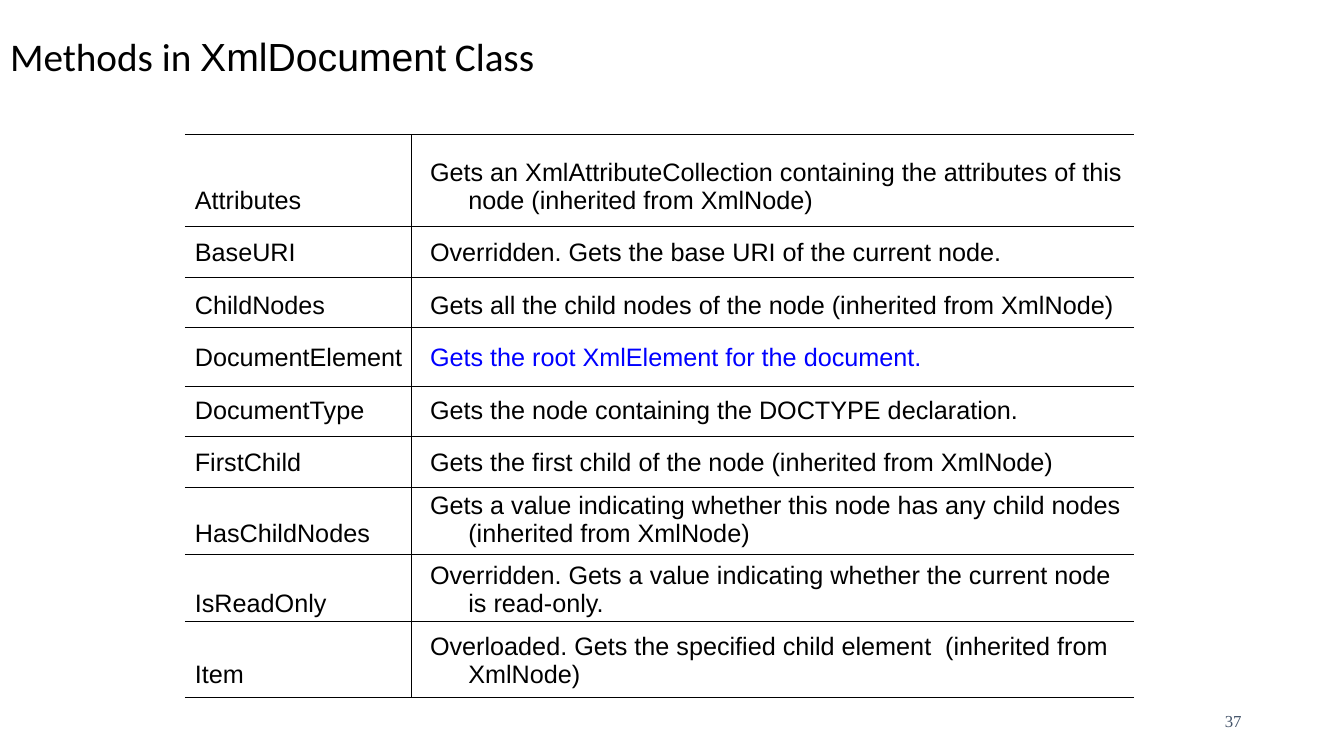
from pptx import Presentation
from pptx.dml.color import RGBColor
from pptx.enum.shapes import MSO_CONNECTOR
from pptx.enum.text import MSO_ANCHOR, MSO_AUTO_SIZE, PP_ALIGN
from pptx.oxml.ns import qn
from pptx.util import Inches, Pt
from lxml import etree

STRAIGHT = MSO_CONNECTOR.STRAIGHT
MIDDLE, BOTTOM = MSO_ANCHOR.MIDDLE, MSO_ANCHOR.BOTTOM
LEFT, RIGHT = PP_ALIGN.LEFT, PP_ALIGN.RIGHT
NO_FIT = MSO_AUTO_SIZE.NONE

COLORS = {"text": "000000", "accent": "0000FF", "number": "44546A"}
NO_STYLE = "{2D5ABB26-0587-4C30-8999-92F81FD0307C}"
COLS, ROWS = 160, 90
UNIT = Inches(1 / 12)

TITLE = [("Methods in ", "Calibri"), ("XmlDocument", "Arial"), (" Class", "Calibri")]
MEMBERS = [
    ("Attributes", "Gets an XmlAttributeCollection containing the attributes of this node "
                   "(inherited from XmlNode)"),
    ("BaseURI", "Overridden. Gets the base URI of the current node."),
    ("ChildNodes", "Gets all the child nodes of the node (inherited from XmlNode)"),
    ("DocumentElement", "Gets the root XmlElement for the document."),
    ("DocumentType", "Gets the node containing the DOCTYPE declaration."),
    ("FirstChild", "Gets the first child of the node (inherited from XmlNode)"),
    ("HasChildNodes", "Gets a value indicating whether this node has any child nodes "
                      "(inherited from XmlNode)"),
    ("IsReadOnly", "Overridden. Gets a value indicating whether the current node is read-only."),
    ("Item", "Overloaded. Gets the specified child element  (inherited from XmlNode)"),
]
HIGHLIGHT = "Gets the root XmlElement for the document."
TABLE_LEFT, TABLE_RIGHT, TABLE_TOP = 22, 135, 12
COL_WIDTHS = [28, 85]
ROW_HEIGHTS = [14.17] + [6.25] * 5 + [8.4] * 3
RULES = [16, 27, 33, 39, 46, 52, 58, 66, 74, 83]
DIVIDER = 49


def grid(*units):
    return [int(u * UNIT) for u in units]


class Deck:
    """Holds the presentation and its current slide, measured in a 160 x 90 grid."""

    def __init__(self):
        self.prs = Presentation()
        self.prs.slide_width, self.prs.slide_height = grid(COLS, ROWS)
        self.s = self.prs.slides.add_slide(self.prs.slide_layouts[5])

    def add_run(self, p, text, font="Arial", size=18, color="text"):
        r = p.add_run()
        r.text = text
        for name, value in {"name": font, "size": Pt(size), "bold": False}.items():
            setattr(r.font, name, value)
        r.font.color.rgb = RGBColor.from_string(COLORS[color])

    def format_frame(self, tf):
        for name, value in {"word_wrap": True, "auto_size": NO_FIT,
                            "vertical_anchor": MIDDLE}.items():
            setattr(tf, name, value)

    def title(self, runs, box):
        sp = self.s.shapes.title
        sp.left, sp.top, sp.width, sp.height = grid(*box)
        self.format_frame(sp.text_frame)
        p = sp.text_frame.paragraphs[0]
        p.alignment, p.line_spacing = LEFT, 0.9
        for text, font in runs:
            self.add_run(p, text, font, 28)

    def label(self, text, box, **style):
        tf = self.s.shapes.add_textbox(*grid(*box)).text_frame
        self.format_frame(tf)
        p = tf.paragraphs[0]
        p.alignment = RIGHT
        self.add_run(p, text, **style)

    def table(self, left, top, widths, heights, data):
        box = grid(left, top, sum(widths), sum(heights))
        table = self.s.shapes.add_table(len(heights), len(widths), *box).table
        table.first_row = table.horz_banding = False
        table._tbl.tblPr.find(qn("a:tableStyleId")).text = NO_STYLE
        for column, width in zip(table.columns, grid(*widths)):
            column.width = width
        for row, height, texts in zip(table.rows, grid(*heights), data):
            row.height = height
            for cell, text in zip(row.cells, texts):
                self.fill_cell(cell, text)

    def fill_cell(self, cell, text):
        cell.fill.background()
        cell.vertical_anchor = BOTTOM
        p = cell.text_frame.paragraphs[0]
        hanging = Inches(0.38)
        pPr = p._p.get_or_add_pPr()
        pPr.set("marL", str(hanging))
        pPr.set("indent", str(-hanging))
        self.add_run(p, text, color="accent" if text == HIGHLIGHT else "text")

    def line(self, x1, y1, x2, y2):
        c = self.s.shapes.add_connector(STRAIGHT, *grid(x1, y1, x2, y2))
        c.line.color.rgb = RGBColor.from_string(COLORS["text"])
        c.line.width = Pt(0.75)
        etree.SubElement(c._element.spPr, qn("a:effectLst"))


def main():
    deck = Deck()
    deck.label("37", (113, 83.4, 36, 4.8), font="Times New Roman", size=12, color="number")
    deck.title(TITLE, (0, 0, COLS, 14))
    deck.table(TABLE_LEFT, TABLE_TOP, COL_WIDTHS, ROW_HEIGHTS, MEMBERS)
    for y in RULES:
        deck.line(TABLE_LEFT, y, TABLE_RIGHT, y)
    deck.line(DIVIDER, RULES[0], DIVIDER, RULES[-1])
    deck.prs.save("out.pptx")


if __name__ == "__main__":
    main()
